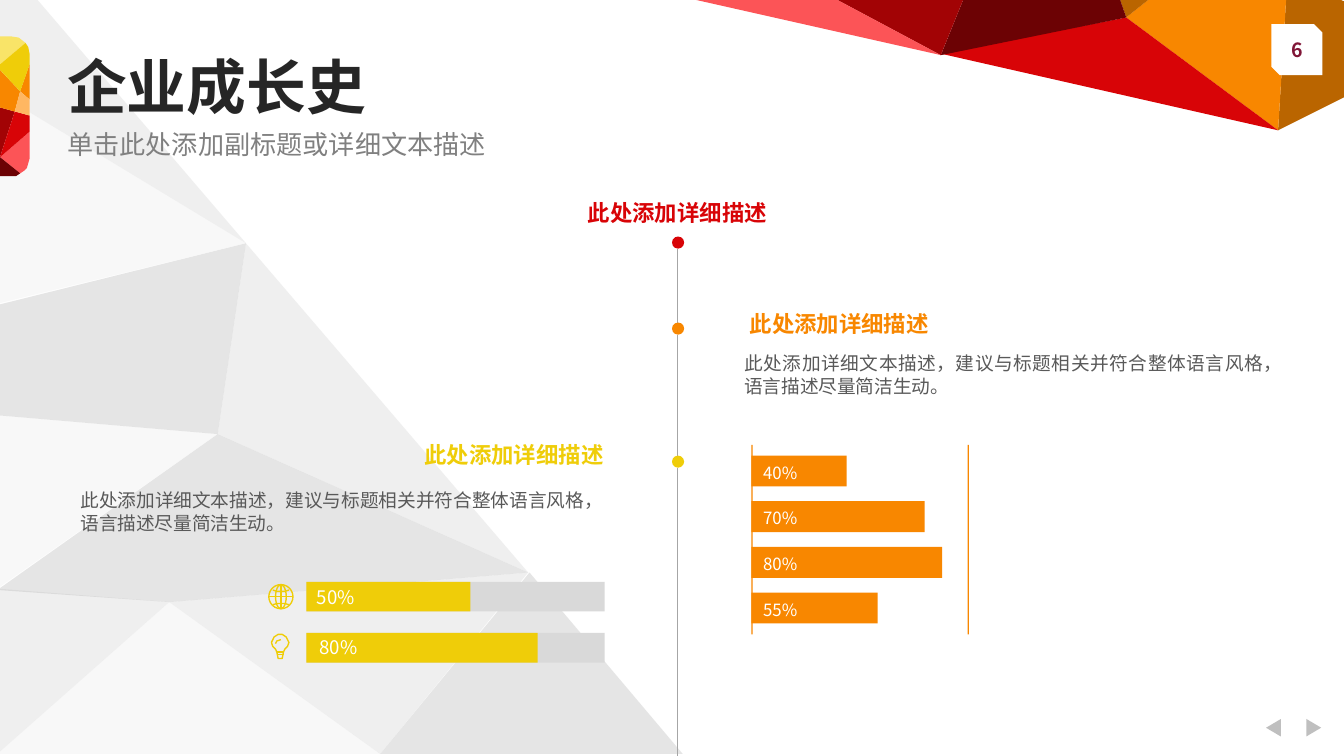
"""Build the company growth timeline slide."""
from dataclasses import dataclass

from lxml import etree
from pptx import Presentation
from pptx.dml.color import RGBColor
from pptx.enum import shapes, text
from pptx.oxml.ns import qn
from pptx.util import Inches, Pt

FONT = "Noto Sans CJK SC"
WIDTH, HEIGHT = 10, 10 * 9 / 16
RED, ORANGE, YELLOW = "D80407", "F88700", "EFCD09"
GREY, TRACK, BODY = "A6A6A6", "D9D9D9", "595959"
HEADING = "此处添加详细描述"
DESCRIPTION = "此处添加详细文本描述，建议与标题相关并符合整体语言风格，语言描述尽量简洁生动。"
PRESET = shapes.MSO_SHAPE
ALIGN = text.PP_ALIGN


@dataclass
class Facet:
    color: str
    points: list
    opacity: int = 100


@dataclass
class Label:
    content: str
    box: tuple
    size: float
    color: str
    bold: bool = False
    align: ALIGN = ALIGN.LEFT
    heading: bool = False
    wrap: bool = True


@dataclass
class Progress:
    label: str
    top: float
    width: float
    label_box: tuple


@dataclass
class Bar:
    label: str
    width: float


BACKGROUND = [
    Facet("F2F2F2", [(1.26, 4.48), (2.83, 5.61), (-0.02, 5.61)], 50),
    Facet("D9D9D9", [(1.26, 4.48), (-0.02, 5.61), (-0.02, 4.38)], 40),
    Facet("D9D9D9", [(2.83, 5.61), (1.26, 4.48), (3.93, 4.26)], 40),
    Facet("BFBFBF", [(3.93, 4.26), (1.26, 4.48), (-0.02, 4.39), (1.62, 3.23)], 40),
    Facet("D9D9D9", [(3.93, 4.26), (1.62, 3.23), (1.83, 1.81)], 40),
    Facet("F2F2F2", [(1.62, 3.23), (-0.02, 4.38), (-0.02, 3.09)], 50),
    Facet("BFBFBF", [(1.62, 3.23), (-0.02, 3.09), (-0.02, 2.27), (1.83, 1.81)], 40),
    Facet("F2F2F2", [(1.83, 1.81), (-0.02, 2.26), (-0.02, 0.69)], 50),
    Facet("D9D9D9", [(1.83, 1.81), (-0.02, 0.69), (-0.02, -0.35)], 40),
    Facet("BFBFBF", [(2.83, 5.61), (3.94, 4.26), (5.08, 5.61)], 40),
]
CORNER = [
    Facet("BA6500", [(10.77, 0.34), (9.58, -0.17), (9.51, 0.97)]),
    Facet(ORANGE, [(9.51, 0.97), (9.58, -0.17), (9.42, -0.7), (8.38, 0.13)]),
    Facet(RED, [(9.51, 0.97), (8.38, 0.13), (7, 0.4)]),
    Facet("BA6500", [(8.38, 0.13), (9.42, -0.7), (8.15, -0.53)]),
    Facet("6C0204", [(8.38, 0.13), (8.15, -0.53), (7.34, -0.43), (7, 0.41)]),
    Facet("A20305", [(7, 0.41), (7.34, -0.43), (5.8, -0.23)]),
    Facet("FC5457", [(7, 0.41), (5.8, -0.23), (4.78, -0.09)]),
]
TAB = [
    Facet("FC5457", [(0.22, 0.98), (0, 1.17), (0.15, 1.29), (0.18, 1.27), (0.2, 1.25), (0.22, 1.18)]),
    Facet("A20305", [(0.11, 0.83), (0, 0.8), (0, 1.17)]),
    Facet(RED, [(0.11, 0.83), (0, 1.17), (0.22, 0.98), (0.22, 0.86)]),
    Facet("6C0204", [(0.15, 1.29), (0, 1.17), (0, 1.31), (0.08, 1.31), (0.12, 1.31)]),
    Facet("F9E468", [(0, 0.48), (0.19, 0.32), (0.14, 0.28), (0.08, 0.27), (0, 0.27)]),
    Facet(ORANGE, [(0.22, 0.48), (0.15, 0.68), (0.22, 0.74)]),
    Facet(ORANGE, [(0.11, 0.83), (0.15, 0.68), (0, 0.52), (0, 0.8)]),
    Facet(YELLOW, [(0, 0.52), (0.15, 0.68), (0.22, 0.48), (0.22, 0.4), (0.21, 0.35), (0.19, 0.32), (0, 0.48)]),
    Facet("FFB762", [(0.22, 0.74), (0.15, 0.68), (0.11, 0.83), (0.22, 0.86)]),
]
LABELS = [
    Label("6", (9.46, 0.23, 0.38, 0.28), 10.5, "801637", True, ALIGN.CENTER, wrap=False),
    Label("企业成长史", (0.5, 0.45, 5.25, 0.44), 32, "262626", True, heading=True),
    Label("单击此处添加副标题或详细文本描述", (0.5, 0.99, 3.2, 0.19), 14, "808080", heading=True),
    Label(HEADING, (3.53, 1.43, 3.02, 0.3), 12, RED, True, ALIGN.CENTER),
    Label(HEADING, (5.48, 2.26, 3.86, 0.3), 12, ORANGE, True),
    Label(DESCRIPTION, (5.44, 2.57, 4.06, 0.44), 10, BODY, align=ALIGN.JUSTIFY),
    Label(HEADING, (0.63, 3.23, 3.96, 0.3), 12, YELLOW, True, ALIGN.RIGHT),
    Label(DESCRIPTION, (0.5, 3.59, 4.08, 0.44), 10, BODY, align=ALIGN.JUSTIFY),
]
MILESTONES = [(1.76, RED), (2.4, ORANGE), (3.39, YELLOW)]
PROGRESS = [
    Progress("50%", 4.33, 1.22, (2.26, 4.31, 0.55, 0.27)),
    Progress("80%", 4.71, 1.72, (2.28, 4.68, 0.55, 0.27)),
]
BARS = [Bar("40%", 0.71), Bar("70%", 1.29), Bar("80%", 1.42), Bar("55%", 0.94)]
BULB = [(2.06, 4.85), (2.05, 4.83), (2.03, 4.81), (2.02, 4.78), (2.04, 4.74), (2.07, 4.72),
        (2.1, 4.72), (2.13, 4.74), (2.15, 4.78), (2.14, 4.81), (2.12, 4.83), (2.11, 4.85),
        (2.1, 4.9), (2.07, 4.9)]


def rgb(color: str) -> RGBColor:
    return RGBColor.from_string(color)


def paint(shape, fill: str = "", line: str = "") -> None:
    shape.shadow.inherit = False
    if fill:
        shape.fill.solid()
        shape.fill.fore_color.rgb = rgb(fill)
    else:
        shape.fill.background()
    if line:
        shape.line.color.rgb = rgb(line)
        shape.line.width = Pt(0.75)
    else:
        shape.line.fill.background()


def add_preset(slide, kind, box: tuple, fill: str = "", line: str = "", rotation: float = 0) -> None:
    shape = slide.shapes.add_shape(kind, *map(Inches, box))
    paint(shape, fill, line)
    shape.rotation = rotation


def add_outline(slide, points: list, fill: str = "", line: str = "", closed: bool = True):
    corners = [(Inches(x), Inches(y)) for x, y in points]
    builder = slide.shapes.build_freeform(*corners[0])
    builder.add_line_segments(corners[1:], close=closed)
    shape = builder.convert_to_shape()
    paint(shape, fill, line)
    return shape


def add_facet(slide, facet: Facet) -> None:
    shape = add_outline(slide, facet.points, facet.color)
    if facet.opacity < 100:
        color = shape._element.spPr.find(".//" + qn("a:srgbClr"))
        etree.SubElement(color, qn("a:alpha"), val=str(facet.opacity * 1000))


def add_line(slide, start: tuple, end: tuple, color: str) -> None:
    line = slide.shapes.add_connector(shapes.MSO_CONNECTOR.STRAIGHT, *map(Inches, start + end))
    line.line.color.rgb = rgb(color)
    line.line.width = Pt(0.75)
    etree.SubElement(line._element.spPr, qn("a:effectLst"))


def add_label(slide, label: Label) -> None:
    frame = slide.shapes.add_textbox(*map(Inches, label.box)).text_frame
    frame.word_wrap = label.wrap
    paragraph = frame.paragraphs[0]
    paragraph.text = label.content
    paragraph.alignment = label.align
    if label.heading:
        frame.margin_left = frame.margin_right = frame.margin_top = frame.margin_bottom = 0
        frame.vertical_anchor = text.MSO_ANCHOR.MIDDLE
        paragraph.line_spacing = 0.9
    else:
        frame.auto_size = text.MSO_AUTO_SIZE.SHAPE_TO_FIT_TEXT
    font = paragraph.font
    font.size, font.bold, font.name = Pt(label.size), label.bold, FONT
    font.color.rgb = rgb(label.color)
    defaults = paragraph._p.pPr.find(qn("a:defRPr"))
    etree.SubElement(defaults, qn("a:ea"), typeface=FONT)


def add_globe(slide) -> None:
    add_preset(slide, PRESET.OVAL, (2, 4.35, 0.18, 0.18), line=YELLOW)
    add_preset(slide, PRESET.OVAL, (2.05, 4.35, 0.08, 0.18), line=YELLOW)
    add_line(slide, (2.09, 4.35), (2.09, 4.53), YELLOW)
    add_line(slide, (2, 4.44), (2.18, 4.44), YELLOW)
    for edge, middle in ((4.39, 4.4), (4.5, 4.49)):
        add_outline(slide, [(2.03, edge), (2.06, middle), (2.12, middle), (2.15, edge)],
                    line=YELLOW, closed=False)


def add_bulb(slide) -> None:
    add_outline(slide, BULB, line=YELLOW)
    for height in (4.85, 4.87):
        add_line(slide, (2.06, height), (2.11, height), YELLOW)
    add_outline(slide, [(2.05, 4.79), (2.06, 4.77), (2.09, 4.76)], line=YELLOW, closed=False)


def add_timeline(slide) -> None:
    ends = [top for top, _ in MILESTONES[1:]] + [HEIGHT]
    for (top, color), end in zip(MILESTONES, ends):
        add_line(slide, (5.04, top + 0.09), (5.04, end), GREY)
        add_preset(slide, PRESET.OVAL, (5, top, 0.09, 0.09), color)


def main() -> None:
    presentation = Presentation()
    presentation.slide_width, presentation.slide_height = Inches(WIDTH), Inches(HEIGHT)
    slide = presentation.slides.add_slide(presentation.slide_layouts[6])
    for facet in BACKGROUND + CORNER + TAB:
        add_facet(slide, facet)
    for left, rotation in ((9.41, 270), (9.71, 90)):
        add_preset(slide, PRESET.ISOSCELES_TRIANGLE, (left, 5.36, 0.13, 0.11), "BFBFBF", rotation=rotation)
    add_preset(slide, PRESET.SNIP_2_DIAG_RECTANGLE, (9.46, 0.18, 0.38, 0.38), "FFFFFF")
    add_timeline(slide)
    for label in LABELS:
        add_label(slide, label)
    for item in PROGRESS:
        for width, color in ((2.22, TRACK), (item.width, YELLOW)):
            add_preset(slide, PRESET.RECTANGLE, (2.28, item.top, width, 0.22), color)
        add_label(slide, Label(item.label, item.label_box, 10, "FFFFFF", align=ALIGN.JUSTIFY))
    add_globe(slide)
    add_bulb(slide)
    for left in (5.59, 7.2):
        add_preset(slide, PRESET.RECTANGLE, (left, 3.31, 0.01, 1.41), ORANGE)
    for index, bar in enumerate(BARS):
        top = 3.39 + 0.34 * index
        add_preset(slide, PRESET.RECTANGLE, (5.59, top, bar.width, 0.23), ORANGE)
        add_label(slide, Label(bar.label, (5.58, top, 0.49, 0.25), 9, "FFFFFF", align=ALIGN.JUSTIFY))
    presentation.save("out.pptx")


if __name__ == "__main__":
    main()
